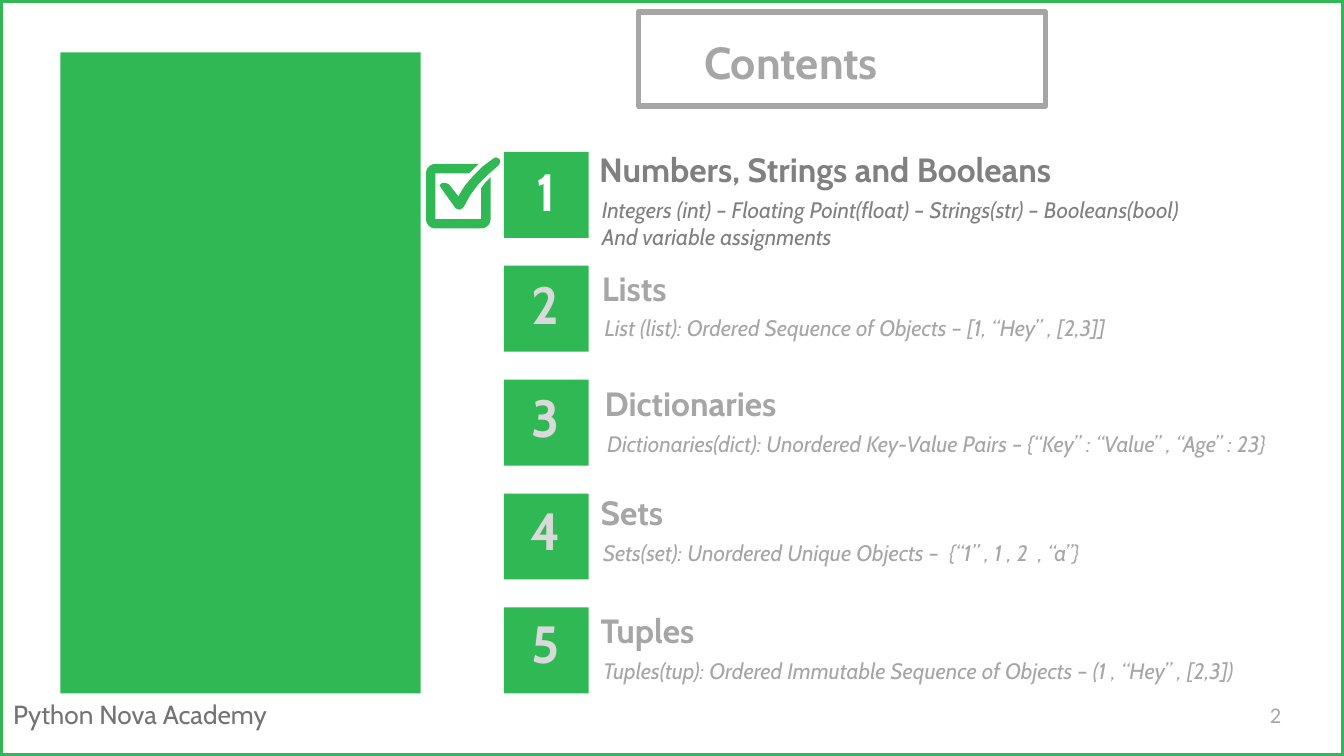
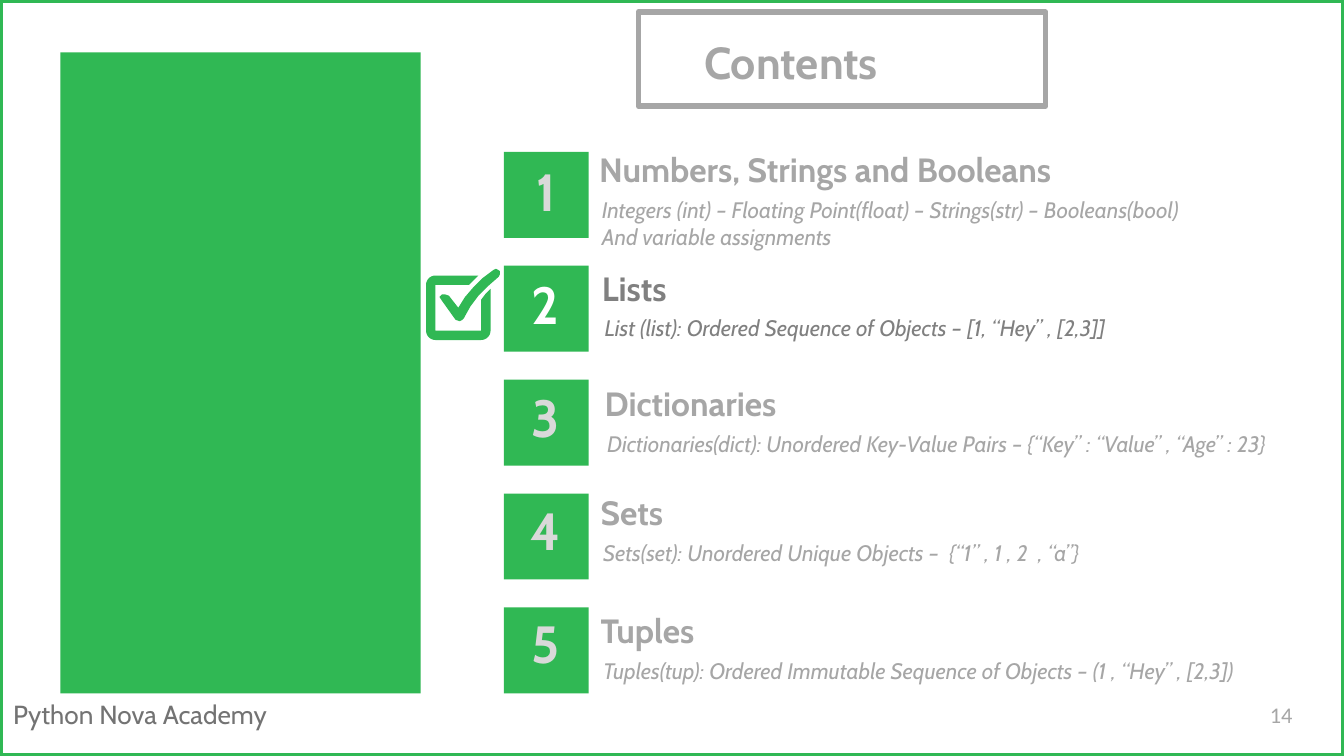
"""Build two contents slides, each ticking its current topic."""
from math import cos, pi, sin

from pptx import Presentation
from pptx.dml.color import RGBColor
from pptx.enum.text import MSO_ANCHOR as Anchor, PP_ALIGN as Align
from pptx.enum.shapes import MSO_SHAPE as Shape
from pptx.util import Inches, Pt

GREEN = RGBColor(0x30, 0xB8, 0x54)
WHITE = RGBColor(0xFF, 0xFF, 0xFF)
PALE = RGBColor(0xD9, 0xD9, 0xD9)
GREY = RGBColor(0xA6, 0xA6, 0xA6)
DARK = RGBColor(0x80, 0x80, 0x80)
INK = RGBColor(0x73, 0x73, 0x73)
WIDE = 10
HIGH = WIDE * 9 / 16

TOPICS = [
    (4.36, 1, 4.97, "Numbers, Strings and Booleans",
     "Integers (int) – Floating Point(float) – Strings(str) – Booleans(bool)\n"
     "And variable assignments"),
    (4.38, 1.88, 4.97, "Lists",
     "List (list): Ordered Sequence of Objects – [1, “Hey” , [2,3]]"),
    (4.4, 2.74, 5.54, "Dictionaries",
     "Dictionaries(dict): Unordered Key-Value Pairs – "
     "{“Key” : “Value” , “Age” : 23}"),
    (4.37, 3.55, 4.97, "Sets",
     "Sets(set): Unordered Unique Objects –  {“1” , 1 , 2  , “a”}"),
    (4.37, 4.43, 5.24, "Tuples",
     "Tuples(tup): Ordered Immutable Sequence of Objects – "
     "(1 , “Hey” , [2,3])"),
]

TICK = [(0.52, 0), (0.5, 0.01), (0.42, 0.07), (0.35, 0.14), (0.29, 0.21),
        (0.24, 0.29), (0.17, 0.2), (0.14, 0.19), (0.12, 0.19), (0.1, 0.21),
        (0.12, 0.24), (0.22, 0.38), (0.25, 0.39), (0.27, 0.38), (0.28, 0.37),
        (0.33, 0.28), (0.39, 0.2), (0.46, 0.13), (0.54, 0.06), (0.55, 0.04),
        (0.55, 0.02), (0.54, 0.01)]
FRAME = [(0.41, 0.23), (0.41, 0.46), (0.07, 0.46), (0.07, 0.12),
         (0.32, 0.12), (0.35, 0.09), (0.39, 0.05)]
for x, y, turn in [(0.07, 0.12, 6), (0.07, 0.46, 4), (0.41, 0.46, 2)]:
    for part in range(9):
        angle = (turn - part / 4) * pi / 4
        FRAME.append((x + 0.07 * cos(angle), y + 0.07 * sin(angle)))
FRAME += [(0.48, 0.15), (0.44, 0.19)]


def add_box(slide, left, top, width, height, fill=None, line=None):
    box = slide.shapes.add_shape(
        Shape.RECTANGLE, *map(Inches, (left, top, width, height)))
    box.shadow.inherit = False
    if fill is None:
        box.fill.background()
    else:
        box.fill.solid()
        box.fill.fore_color.rgb = fill
    if line is None:
        box.line.fill.background()
    else:
        box.line.color.rgb = line
        box.line.width = Pt(3)


def add_text(slide, words, left, top, width, height, size, color,
             bold=False, italic=False, anchor=Anchor.MIDDLE,
             align=Align.LEFT, face="Cabin", inset=0.1, space=None):
    frame = slide.shapes.add_textbox(
        *map(Inches, (left, top, width, height))).text_frame
    frame.word_wrap = True
    frame.vertical_anchor = anchor
    frame.margin_top = frame.margin_bottom = Inches(inset)
    frame.margin_left = frame.margin_right = Inches(0.1)
    frame.text = words
    for para in frame.paragraphs:
        para.alignment = align
        para.line_spacing = space
        font = para.font
        font.name, font.size, font.color.rgb = face, Pt(size), color
        font.bold, font.italic = bold, italic


deck = Presentation()
deck.slide_width, deck.slide_height = Inches(WIDE), Inches(HIGH)

for current, page in [(0, "2"), (1, "14")]:
    slide = deck.slides.add_slide(deck.slide_layouts[6])
    add_text(slide, "Python Nova Academy", 0, 5.15, 2.55, 0.34, 14, INK,
             anchor=Anchor.TOP, inset=0.05)
    add_box(slide, 4.75, 0.09, 3.03, 0.7, line=GREY)
    add_box(slide, 0.45, 0.39, 2.68, 4.77, fill=GREEN)
    add_box(slide, 0, 0, WIDE, HIGH, line=GREEN)
    add_text(slide, "Contents", 5.14, 0.22, 2.12, 0.41, 24, GREY,
             bold=True, space=1.15)
    add_text(slide, page, 9.35, 5.1, 0.6, 0.43, 12, GREY, face="Calibri")

    for row, (left, top, width, head, note) in enumerate(TOPICS):
        active = row == current
        tone = DARK if active else GREY
        add_box(slide, 3.75, 1.13 + row * 3.39 / 4, 0.63, 0.64, fill=GREEN)
        add_text(slide, str(row + 1), 3.37, 1.07 + row * 0.84, 1.38, 0.7,
                 28, WHITE if active else PALE, bold=True,
                 align=Align.CENTER)
        add_text(slide, head, left, top, 5.79, 0.51, 18, tone,
                 bold=True, anchor=Anchor.BOTTOM)
        add_text(slide, note, left + 0.02, top + 0.36, width, 0.55, 12, tone,
                 italic=True, anchor=Anchor.TOP)

    for points in (TICK, FRAME):
        dots = [(Inches(3.17 + x), Inches(1.17 + current * 0.83 + y))
                for x, y in points]
        pen = slide.shapes.build_freeform(*dots[0])
        pen.add_line_segments(dots[1:], close=True)
        mark = pen.convert_to_shape()
        mark.shadow.inherit = False
        mark.fill.solid()
        mark.fill.fore_color.rgb = GREEN
        mark.line.fill.background()

deck.save("out.pptx")
